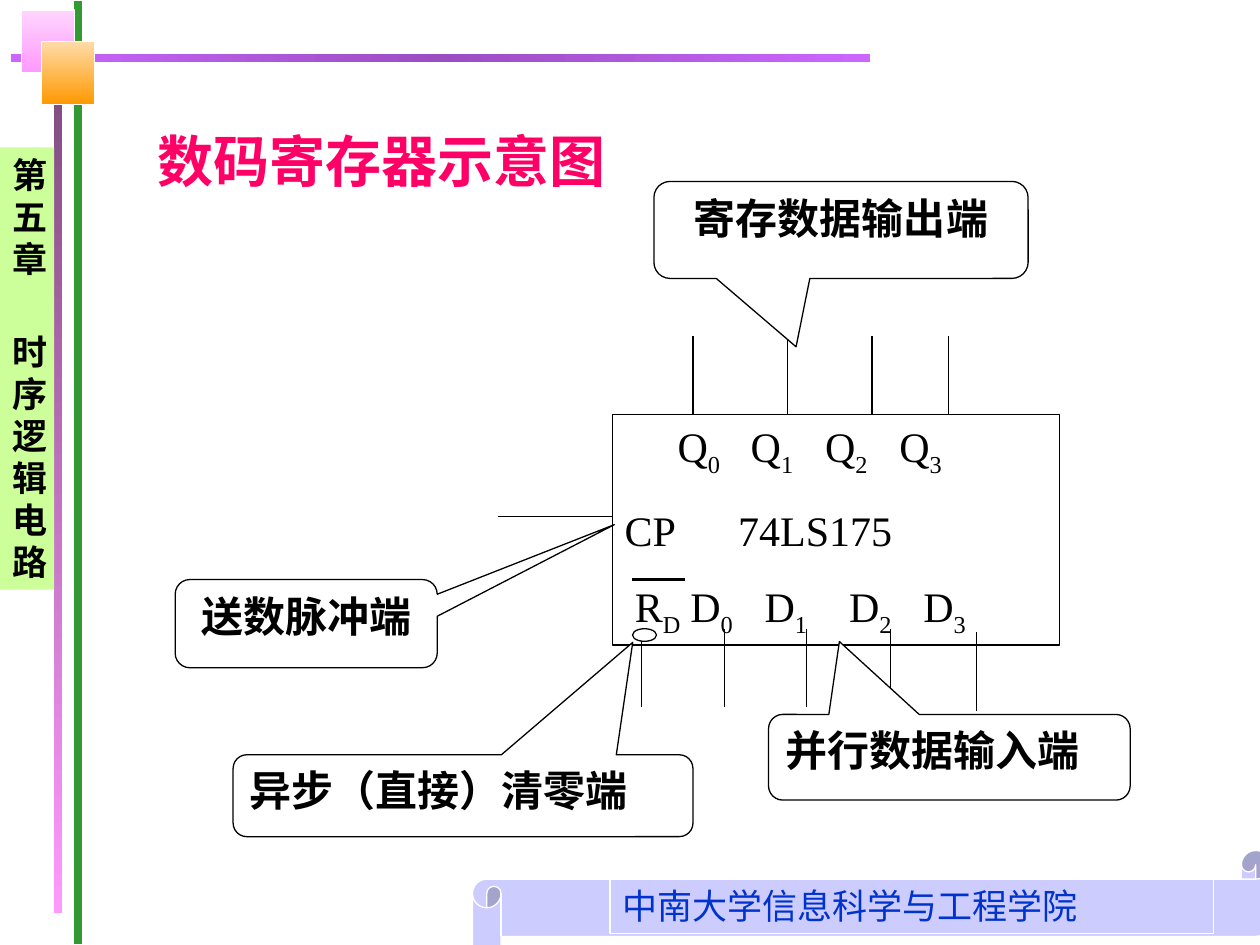
from copy import deepcopy
from pptx import Presentation
from pptx.dml.color import RGBColor
from pptx.enum.shapes import MSO_CONNECTOR, MSO_SHAPE as SHAPE
from pptx.enum.text import MSO_ANCHOR, PP_ALIGN
from pptx.oxml.ns import qn
from pptx.util import Inches, Pt
from lxml.etree import SubElement

W, H = 10, 7.5
SERIF, SANS = "Times New Roman", "Noto Sans CJK SC"
C = {
    "black": "000000", "white": "FFFFFF", "title": "FF0066", "footer": "0033CC",
    "green": "339933", "lime": "CCFF99", "scroll": "CCCCFF",
    "violet": "CC66FF", "violet_dark": "9B4DC2", "plum": "754675",
    "pink": "FF99FF", "pink_pale": "FED5FE", "orange": "FF9900", "orange_pale": "FEDCA9",
}

TITLE = "数码寄存器示意图"
CHAPTER = ["第五章", "时序逻辑电路"]
SCHOOL = "中南大学信息科学与工程学院"

# shape, (left, top, width, height), colour or gradient stops, gradient angle
DECOR = [
    (SHAPE.RECTANGLE, (0.58, 0, 0.08, H), ["green"], 0),
    (SHAPE.HORIZONTAL_SCROLL, (3.75, 6.75, 6.33, 0.91), ["scroll"], 0),
    (SHAPE.FLOWCHART_PROCESS, (0.08, 0.42, 6.83, 0.08), ["violet", "violet_dark", "violet"], 180),
    (SHAPE.RECTANGLE, (0.42, 0.08, 0.08, 7.17), ["plum", "pink"], 270),
    (SHAPE.RECTANGLE, (0.17, 0.08, 0.42, 0.5), ["pink_pale", "pink"], 270),
    (SHAPE.RECTANGLE, (0.33, 0.33, 0.42, 0.5), ["orange_pale", "orange"], 270),
]

CHIP = (4.86, 3.29, 3.55, 1.83)
# each label: tab position inside the chip, text, subscript
CHIP_ROWS = [
    [(0.42, "Q", "0"), (1.0, "Q", "1"), (1.59, "Q", "2"), (2.18, "Q", "3")],
    [(0, "CP", ""), (0.9, "74LS175", "")],
    [(0.08, "R", "D"), (0.52, "D", "0"), (1.11, "D", "1"), (1.78, "D", "2"), (2.37, "D", "3")],
]
OUTPUT_X = [5.5, 6.25, 6.92, 7.53]
INPUT_PINS = [(5.75, 4.99), (6.4, 4.99), (7.07, 4.99), (7.75, 5.02)]
PIN = 0.62
RESET_BUBBLE = (5.02, 4.99, 0.19, 0.1)
# text, box, tip offset from the centre as shares of the box, alignment
CALLOUTS = [
    ("寄存数据输出端", (5.19, 1.44, 2.97, 0.77), (-0.12, 1.205), PP_ALIGN.CENTER),
    ("并行数据输入端", (6.1, 5.67, 2.87, 0.68), (-0.304, -1.351), PP_ALIGN.LEFT),
    ("送数脉冲端", (1.39, 4.6, 2.08, 0.7), (1.176, -1.123), PP_ALIGN.CENTER),
    ("异步（直接）清零端", (1.85, 5.99, 3.65, 0.65), (0.369, -1.872), PP_ALIGN.LEFT),
]


def rgb(name):
    return RGBColor.from_string(C[name])


def paint(sp, colours, angle=0):
    if not colours:
        sp.fill.background()
    elif len(colours) == 1:
        sp.fill.solid()
        sp.fill.fore_color.rgb = rgb(colours[0])
    else:
        sp.fill.gradient()
        sp.fill.gradient_angle = angle
        stops = sp._element.spPr.find(".//" + qn("a:gsLst"))
        while len(stops) < len(colours):
            stops.append(deepcopy(stops[0]))
        for i, (stop, name) in enumerate(zip(sp.fill.gradient_stops, colours)):
            stop.position = i / (len(colours) - 1)
            stop.color.rgb = rgb(name)


def add_box(kind, box, colours=(), line=None, angle=0):
    sp = slide.shapes.add_shape(kind, *map(Inches, box))
    sp.shadow.inherit = False
    paint(sp, colours, angle)
    if line:
        sp.line.color.rgb = rgb(line)
        sp.line.width = Pt(0.75)
    else:
        sp.line.fill.background()
    return sp


def add_line(x1, y1, x2, y2, width=0.75):
    ln = slide.shapes.add_connector(MSO_CONNECTOR.STRAIGHT, *map(Inches, (x1, y1, x2, y2)))
    ln.line.color.rgb = rgb("black")
    ln.line.width = Pt(width)
    SubElement(ln._element.spPr, qn("a:effectLst"))


def write(sp, lines, size, colour="black", bold=False, font=SERIF, align=PP_ALIGN.LEFT):
    tf = sp.text_frame
    tf.word_wrap = True
    tf.vertical_anchor = MSO_ANCHOR.TOP
    tf.text = "\n".join(lines)
    for p in tf.paragraphs:
        p.alignment = align
        for r in p.runs:
            style(r, size, colour, bold, font)
    return tf


def style(r, size, colour="black", bold=False, font=SERIF):
    r.font.size, r.font.bold, r.font.name = Pt(size), bold, font
    r.font.color.rgb = rgb(colour)


def write_chip_row(p, labels):
    tabs = SubElement(p._p.get_or_add_pPr(), qn("a:tabLst"))
    p.alignment = PP_ALIGN.LEFT
    for x, name, sub in labels:
        if x:
            SubElement(tabs, qn("a:tab"), pos=str(Inches(x)), algn="l")
            name = "\t" + name
        for text, base in ((name, 0), (sub, -25000)):
            if text:
                r = p.add_run()
                r.text = text
                style(r, 24)
                if base:
                    r.font._element.set("baseline", str(base))


prs = Presentation()
prs.slide_width, prs.slide_height = Inches(W), Inches(H)
slide = prs.slides.add_slide(prs.slide_layouts[5])

title = slide.shapes.title
title.left, title.top, title.width, title.height = map(Inches, (1.15, 0.95, 3.87, 0.64))
write(title, [TITLE], 32, "title", bold=True)

for kind, box, colours, angle in DECOR:
    sp = add_box(kind, box, colours, "white", angle)
    if kind == SHAPE.HORIZONTAL_SCROLL:
        sp.adjustments[0] = 0.25

write(add_box(SHAPE.RECTANGLE, (4.84, 6.97, 4.79, 0.44), line="white"), [SCHOOL], 20, "footer")

chapter = write(add_box(SHAPE.RECTANGLE, (0, 1.17, 0.43, 3.51), ["lime"]),
                CHAPTER, 20, bold=True, font=SANS)
for p in chapter.paragraphs:
    p.line_spacing = Pt(24)
chapter.paragraphs[1].space_before = Pt(29)

left, top, width, height = CHIP
tf = add_box(SHAPE.RECTANGLE, CHIP, line="black").text_frame
tf.vertical_anchor = MSO_ANCHOR.TOP
tf.word_wrap = True
for i, labels in enumerate(CHIP_ROWS):
    p = tf.add_paragraph() if i else tf.paragraphs[0]
    write_chip_row(p, labels)
    if i:
        p.space_before = Pt(15)

add_line(3.95, 4.1, left, 4.1)
for x in OUTPUT_X:
    add_line(x, top - PIN, x, top)
for x, y in INPUT_PINS:
    add_line(x, y, x, y + PIN)
add_line(5.02, 4.6, 5.44, 4.6, 1.5)
add_box(SHAPE.OVAL, RESET_BUBBLE, line="black")
add_line(5.09, 5.09, 5.09, 5.61)

for text, box, tip, align in CALLOUTS:
    sp = add_box(SHAPE.ROUNDED_RECTANGULAR_CALLOUT, box, ["white"], "black")
    sp.adjustments[0], sp.adjustments[1] = tip
    write(sp, [text], 24, bold=True, align=align)

prs.save("out.pptx")
